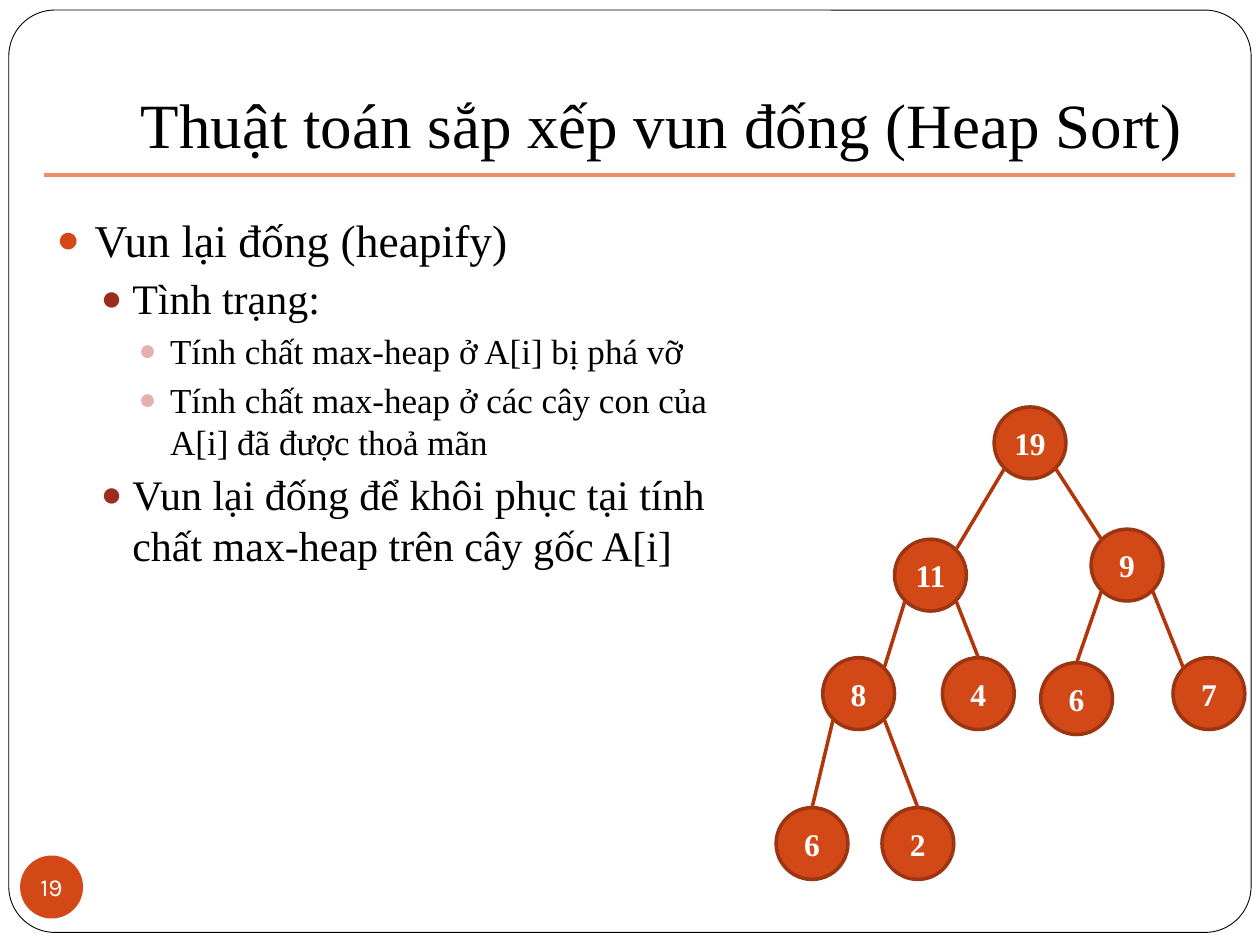
import pptx
import pptx.util
import pptx.dml.color
import pptx.enum.shapes
import pptx.enum.text
import pptx.oxml
import pptx.oxml.ns

Inches, Pt = pptx.util.Inches, pptx.util.Pt
KIND = pptx.enum.shapes.MSO_SHAPE
ANCHOR = pptx.enum.text.MSO_ANCHOR
CENTER = pptx.enum.text.PP_ALIGN.CENTER

HEX = {"white": "FFFFFF", "black": "000000", "fill": "D34817", "edge": "9C3511",
       "branch": "B1360B", "rule": "EF8C6A", "brick": "9B2D1F", "pink": "E6B1AC"}
SERIF = "Times New Roman"

TITLE = "Thuật toán sắp xếp vun đống (Heap Sort)"
ITEMS = [
    (0, "Vun lại đống (heapify)"),
    (1, "Tình trạng:"),
    (2, "Tính chất max-heap ở A[i] bị phá vỡ"),
    (2, "Tính chất max-heap ở các cây con của A[i] đã được thoả mãn"),
    (1, "Vun lại đống để khôi phục tại tính chất max-heap trên cây gốc A[i]"),
]
LEVELS = [
    {"left": 0.3, "hang": 0.3, "size": 26, "dot": "fill"},
    {"left": 0.6, "hang": 0.25, "size": 24, "dot": "brick"},
    {"left": 0.9, "hang": 0.25, "size": 20, "dot": "pink"},
]
NODES = [
    ("19", 7.89, 3.23), ("11", 7.1, 4.28), ("9", 8.66, 4.2),
    ("8", 6.53, 5.22), ("4", 7.48, 5.22), ("6", 8.26, 5.26),
    ("7", 9.31, 5.22), ("6", 6.16, 6.41), ("2", 7, 6.41),
]
EDGES = [
    (0, "SW", 1, "NE"), (0, "SE", 2, "NW"), (1, "SW", 3, "NE"), (1, "SE", 4, "N"),
    (2, "SW", 5, "N"), (2, "SE", 6, "NW"), (3, "SW", 7, "N"), (3, "SE", 8, "N"),
]
SIZE = 0.57
NEAR, FAR = 0.146, 0.854
SITES = {"N": (0.5, 0), "NW": (NEAR, NEAR), "NE": (FAR, NEAR),
         "SW": (NEAR, FAR), "SE": (FAR, FAR)}


def color(name):
    return pptx.dml.color.RGBColor.from_string(HEX[name])


def assign(target, values):
    for key, value in values.items():
        setattr(target, key, value)


def style(font, size, tint, name=SERIF, bold=False):
    assign(font, {"size": Pt(size), "name": name, "bold": bold})
    font.color.rgb = color(tint)


def place(shape, left, top, width, height):
    assign(shape, {"left": Inches(left), "top": Inches(top),
                   "width": Inches(width), "height": Inches(height)})


def paint(shape, fill, line=None, width=0):
    shape.shadow.inherit = False
    shape.fill.solid()
    shape.fill.fore_color.rgb = color(fill)
    if line:
        shape.line.color.rgb = color(line)
        shape.line.width = Pt(width)
    else:
        shape.line.fill.background()


def badge(slide, kind, text, box, size, name=SERIF, bold=False, line=None, wrap=True):
    shape = slide.shapes.add_shape(kind, *map(Inches, box))
    paint(shape, "fill", line, 2)
    frame = shape.text_frame
    assign(frame, {"margin_left": 0, "margin_right": 0, "margin_top": 0,
                   "margin_bottom": 0, "vertical_anchor": ANCHOR.MIDDLE,
                   "word_wrap": wrap, "text": text})
    para = frame.paragraphs[0]
    para.alignment = CENTER
    style(para.runs[0].font, size, "white", name, bold)
    return shape


def link(slide, start, end, tint):
    line = slide.shapes.add_connector(
        pptx.enum.shapes.MSO_CONNECTOR.STRAIGHT, *map(Inches, start + end))
    line.line.color.rgb = color(tint)
    line.line.width = Pt(2)
    props = line._element.spPr
    props.append(pptx.oxml.parse_xml(
        "<a:effectLst %s/>" % pptx.oxml.ns.nsdecls("a")))
    return line


def bullet(para, level):
    props = para._p.get_or_add_pPr()
    props.set("marL", str(Inches(level["left"])))
    props.set("indent", str(-Inches(level["hang"])))
    space = pptx.oxml.ns.nsdecls("a")
    for part in (
        '<a:buClr %s><a:srgbClr val="' + HEX[level["dot"]] + '"/></a:buClr>',
        '<a:buSzPct %s val="85000"/>',
        '<a:buChar %s char="●"/>',
    ):
        props.append(pptx.oxml.parse_xml(part.replace("%s", space)))


def site(node, spot):
    across, down = SITES[spot]
    return NODES[node][1] + across * SIZE, NODES[node][2] + down * SIZE


def main():
    deck = pptx.Presentation()
    assign(deck, {"slide_width": Inches(10), "slide_height": Inches(7.5)})
    slide = deck.slides.add_slide(deck.slide_layouts[1])

    panel = slide.shapes.add_shape(
        KIND.ROUNDED_RECTANGLE, *map(Inches, (0.07, 0.08, 9.86, 7.32)))
    panel.adjustments[0] = 0.05
    paint(panel, "white", "black", 0.5)
    slide.shapes._spTree.insert(2, panel._element)

    title = slide.shapes.title
    place(title, 1, 0.13, 8.5, 1.25)
    frame = title.text_frame
    assign(frame, {"text": TITLE, "vertical_anchor": ANCHOR.BOTTOM,
                   "margin_bottom": Inches(0.1),
                   "auto_size": pptx.enum.text.MSO_AUTO_SIZE.NONE})
    frame.paragraphs[0].alignment = CENTER
    style(frame.paragraphs[0].runs[0].font, 36, "black")

    body = slide.placeholders[1]
    place(body, 0.35, 1.58, 5.67, 5.47)
    frame = body.text_frame
    assign(frame, {"margin_top": Inches(0.1),
                   "auto_size": pptx.enum.text.MSO_AUTO_SIZE.NONE})
    for index, (depth, text) in enumerate(ITEMS):
        para = frame.add_paragraph() if index else frame.paragraphs[0]
        assign(para, {"text": text, "level": depth,
                      "space_before": Pt(3.7 if index else 0)})
        bullet(para, LEVELS[depth])
        style(para.runs[0].font, LEVELS[depth]["size"], "black")

    link(slide, (0.35, 1.39), (9.8, 1.39), "rule")
    badge(slide, KIND.OVAL, "19", (0.16, 6.79, 0.5, 0.5), 14, "Karla", wrap=False)
    nodes = [badge(slide, KIND.FLOWCHART_CONNECTOR, text, (left, top, SIZE, SIZE),
                   18, bold=True, line="edge") for text, left, top in NODES]
    for parent, foot, child, head in EDGES:
        line = link(slide, site(parent, foot), site(child, head), "branch")
        if head == "N":
            line.end_connect(nodes[child], 0)

    deck.save("out.pptx")


if __name__ == "__main__":
    main()
